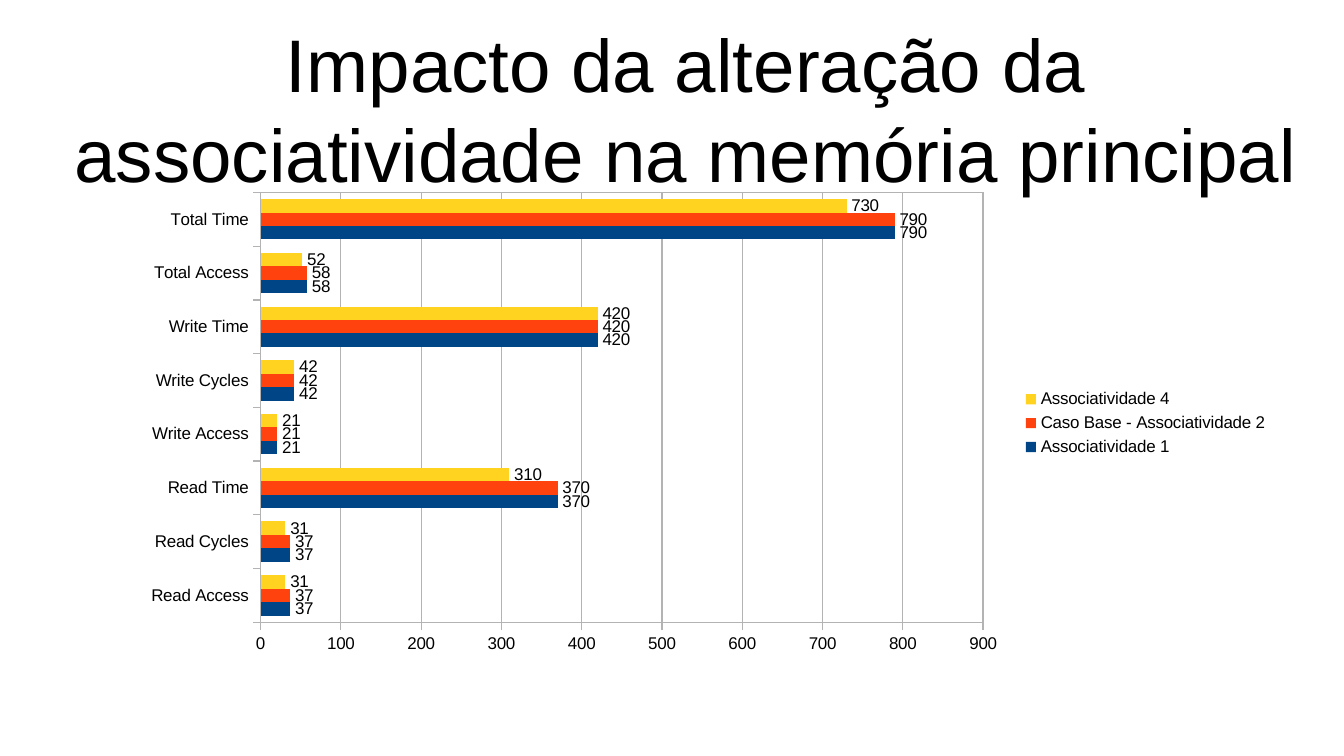
from lxml import etree
from pptx import Presentation
from pptx.chart.data import CategoryChartData
from pptx.dml.color import RGBColor
from pptx.enum.chart import XL_CHART_TYPE, XL_LABEL_POSITION, XL_LEGEND_POSITION, XL_TICK_MARK
from pptx.enum.text import MSO_ANCHOR, PP_ALIGN
from pptx.oxml import parse_xml
from pptx.oxml.ns import nsdecls
from pptx.util import Pt

BAR_CLUSTERED = XL_CHART_TYPE.BAR_CLUSTERED
OUTSIDE_END = XL_LABEL_POSITION.OUTSIDE_END
LEGEND_RIGHT = XL_LEGEND_POSITION.RIGHT
TICK_OUTSIDE = XL_TICK_MARK.OUTSIDE
MIDDLE = MSO_ANCHOR.MIDDLE
CENTER = PP_ALIGN.CENTER

# Content
TITLE = "Impacto da alteração da associatividade na memória principal"
CATEGORIES = ["Read Access", "Read Cycles", "Read Time", "Write Access",
              "Write Cycles", "Write Time", "Total Access", "Total Time"]
SERIES = [
    ("Associatividade 1", "004586", [37, 37, 370, 21, 42, 420, 58, 790]),
    ("Caso Base - Associatividade 2", "FF420E", [37, 37, 370, 21, 42, 420, 58, 790]),
    ("Associatividade 4", "FFD320", [31, 31, 310, 21, 42, 420, 52, 730]),
]

# Theme and geometry, in points
THEME = {"font": "Arial", "text": "000000", "line": "B3B3B3",
         "title_size": 44, "chart_size": 10}
SLIDE_SIZE = (793.44, 446.4)
TITLE_BOX = (36, -34.56, 738, 196.56)
CHART_BOX = (75.6, 108, 680.4, 283.68)
PLOT_AREA = {"x": 0.115, "y": 0.02, "w": 0.627, "h": 0.895}  # shares of the chart


def style_font(font, size):
    font.name = THEME["font"]
    font.size = Pt(size)
    font.bold = False
    font.color.rgb = RGBColor.from_string(THEME["text"])


def style_line(line):
    line.color.rgb = RGBColor.from_string(THEME["line"])
    line.width = Pt(0)


def add_title(page):
    box = page.shapes.add_textbox(*map(Pt, TITLE_BOX))
    frame = box.text_frame
    frame.word_wrap = True
    frame.vertical_anchor = MIDDLE
    frame.margin_left = frame.margin_right = frame.margin_top = frame.margin_bottom = 0
    frame.text = TITLE
    para = frame.paragraphs[0]
    para.alignment = CENTER
    style_font(para.runs[0].font, THEME["title_size"])


def place_plot(chart):
    """Fix the inner plot area and give it a thin frame."""
    plot_area = chart.plots[0]._element.getparent()
    for old in plot_area.findall("{*}layout"):
        plot_area.remove(old)
    layout = parse_xml(
        f'<c:layout {nsdecls("c")}><c:manualLayout><c:layoutTarget val="inner"/>'
        '<c:xMode val="edge"/><c:yMode val="edge"/>'
        + "".join(f'<c:{key} val="{share}"/>' for key, share in PLOT_AREA.items())
        + "</c:manualLayout></c:layout>")
    plot_area.insert(0, layout)
    frame = etree.fromstring(
        f'<c:spPr {nsdecls("c", "a")}><a:noFill/><a:ln w="0"><a:solidFill>'
        f'<a:srgbClr val="{THEME["line"]}"/></a:solidFill></a:ln></c:spPr>')
    plot_area.append(frame)


def add_bar_chart(page):
    data = CategoryChartData(number_format="General")
    data.categories = CATEGORIES
    for name, _, values in SERIES:
        data.add_series(name, values)
    chart = page.shapes.add_chart(BAR_CLUSTERED, *map(Pt, CHART_BOX), data).chart
    chart.has_title = False
    style_font(chart.font, THEME["chart_size"])

    # Bars and value labels
    plot = chart.plots[0]
    plot.gap_width = 100
    plot.overlap = 0
    plot.vary_by_categories = False
    for series, (_, color, _) in zip(plot.series, SERIES):
        series.format.fill.solid()
        series.format.fill.fore_color.rgb = RGBColor.from_string(color)
        labels = series.data_labels
        labels.show_value = True
        labels.position = OUTSIDE_END
        style_font(labels.font, THEME["chart_size"])

    # Axes
    for axis in (chart.category_axis, chart.value_axis):
        axis.major_tick_mark = TICK_OUTSIDE
        style_line(axis.format.line)
        style_font(axis.tick_labels.font, THEME["chart_size"])
    values_axis = chart.value_axis
    values_axis.minimum_scale, values_axis.maximum_scale = 0, 900
    values_axis.major_unit = 100
    values_axis.has_major_gridlines = True
    style_line(values_axis.major_gridlines.format.line)

    # Legend
    chart.has_legend = True
    chart.legend.position = LEGEND_RIGHT
    chart.legend.include_in_layout = False
    style_font(chart.legend.font, THEME["chart_size"])
    place_plot(chart)


def main():
    deck = Presentation()
    deck.slide_width, deck.slide_height = map(Pt, SLIDE_SIZE)
    page = deck.slides.add_slide(deck.slide_layouts[6])
    add_title(page)
    add_bar_chart(page)
    deck.save("out.pptx")


if __name__ == "__main__":
    main()
